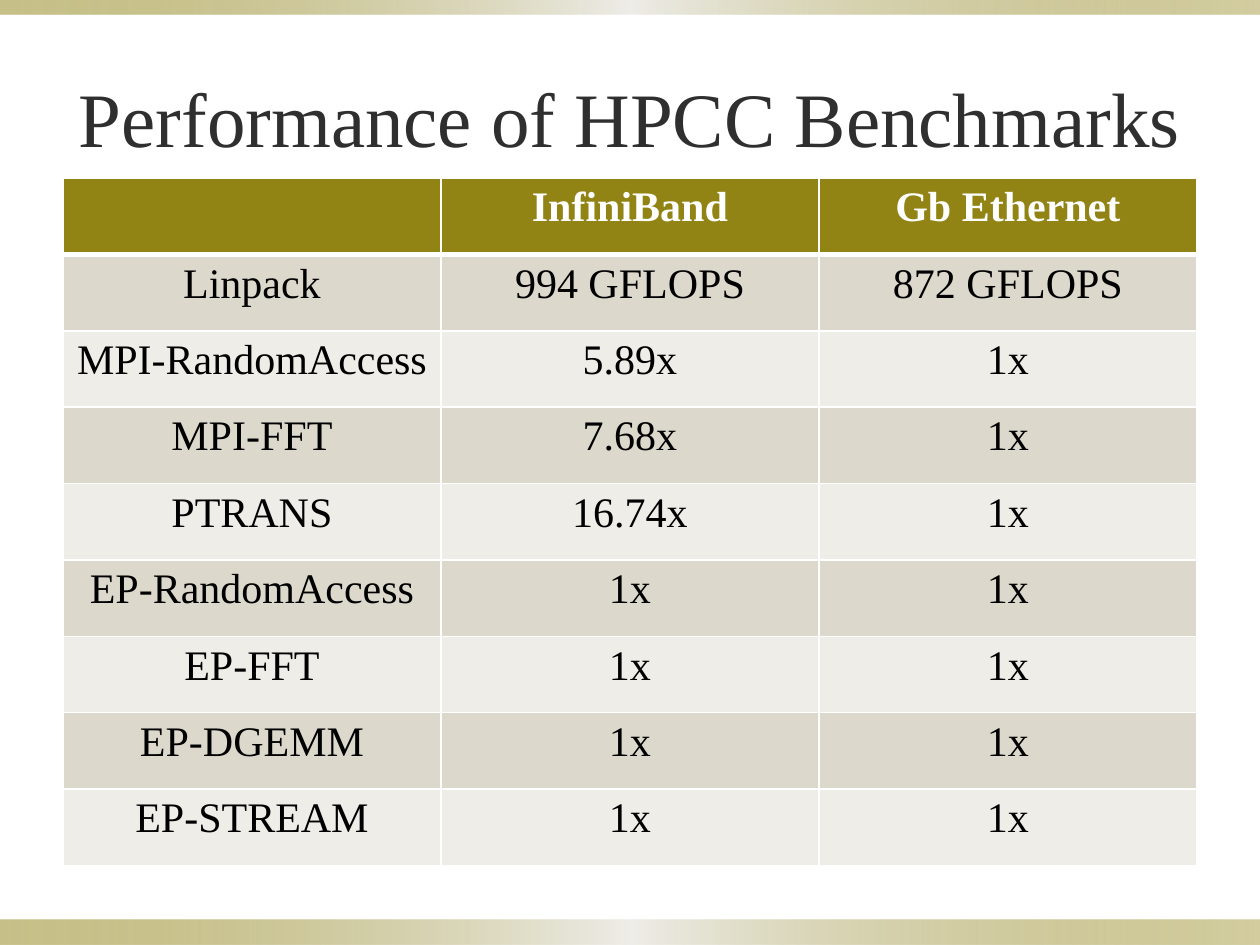
from dataclasses import dataclass

from lxml.etree import SubElement
from pptx import Presentation
from pptx.dml.color import RGBColor
from pptx.enum.shapes import MSO_SHAPE
from pptx.enum.text import MSO_ANCHOR, PP_ALIGN
from pptx.oxml.ns import qn
from pptx.util import Pt

SCALE = 914400 // 126  # EMU in one px


@dataclass(frozen=True)
class Theme:
    font: str = "Times New Roman"
    olive: str = "918415"
    sand: str = "DCD9CC"
    pale: str = "EEEDE8"
    white: str = "FFFFFF"
    black: str = "000000"
    title_color: str = "2F2F2F"
    title_size: int = 44
    table_size: int = 24


theme = Theme()


def write(frame, text, size, color, bold=False):
    paragraph = frame.paragraphs[0]
    paragraph.text = text
    paragraph.alignment = PP_ALIGN.CENTER
    paragraph.font.name = theme.font
    paragraph.font.size = Pt(size)
    paragraph.font.bold = bold
    paragraph.font.color.rgb = RGBColor.from_string(color)
    return paragraph


def add_border(cell, side, points):
    line = SubElement(cell._tc.get_or_add_tcPr(), qn(f"a:ln{side}"), w=str(Pt(points)))
    fill = SubElement(line, qn("a:solidFill"))
    SubElement(fill, qn("a:srgbClr"), val=theme.white)


deck = Presentation()
deck.slide_width = 1260 * SCALE
deck.slide_height = 945 * SCALE
page = deck.slides.add_slide(deck.slide_layouts[6])

# Gradient bands along the bottom and top edges: position, colour, opacity
band_stops = [(0, theme.olive, 50), (50, theme.pale, 100), (100, theme.olive, 40)]
for top, height in [(920, 25), (0, 15)]:
    band = page.shapes.add_shape(
        MSO_SHAPE.RECTANGLE, 0, top * SCALE, 1260 * SCALE, height * SCALE
    )
    band.shadow.inherit = False
    band.line.fill.background()
    band.fill.gradient()
    band.fill.gradient_angle = 0
    stop_list = band._element.spPr.find(qn("a:gradFill")).find(qn("a:gsLst"))
    stop_list.clear()
    for position, color, opacity in band_stops:
        stop = SubElement(stop_list, qn("a:gs"), pos=str(position * 1000))
        shade = SubElement(stop, qn("a:srgbClr"), val=color)
        SubElement(shade, qn("a:alpha"), val=str(opacity * 1000))

# Title
title = page.shapes.add_textbox(63 * SCALE, 38 * SCALE, 1134 * SCALE, 157 * SCALE)
title.text_frame.word_wrap = True
title.text_frame.vertical_anchor = MSO_ANCHOR.MIDDLE
write(title.text_frame, "Performance of HPCC Benchmarks", theme.title_size, theme.title_color)

# Benchmark table
rows = [
    ("", "InfiniBand", "Gb Ethernet"),
    ("Linpack", "994 GFLOPS", "872 GFLOPS"),
    ("MPI-RandomAccess", "5.89x", "1x"),
    ("MPI-FFT", "7.68x", "1x"),
    ("PTRANS", "16.74x", "1x"),
    ("EP-RandomAccess", "1x", "1x"),
    ("EP-FFT", "1x", "1x"),
    ("EP-DGEMM", "1x", "1x"),
    ("EP-STREAM", "1x", "1x"),
]
table = page.shapes.add_table(
    len(rows), 3, 63 * SCALE, 178 * SCALE, 1134 * SCALE, 688 * SCALE
).table
for row_index, row in enumerate(rows):
    header = row_index == 0
    fill_color = theme.olive if header else (theme.pale, theme.sand)[row_index % 2]
    text_color = theme.white if header else theme.black
    for column_index, text in enumerate(row):
        cell = table.cell(row_index, column_index)
        paragraph = write(cell.text_frame, text, theme.table_size, text_color, header)
        if not header:
            paragraph.space_before = Pt(3)
        for side in "LRTB":
            thick = (header and side == "B") or (row_index == 1 and side == "T")
            add_border(cell, side, 3 if thick else 1)
        cell.fill.solid()
        cell.fill.fore_color.rgb = RGBColor.from_string(fill_color)

deck.save("out.pptx")
